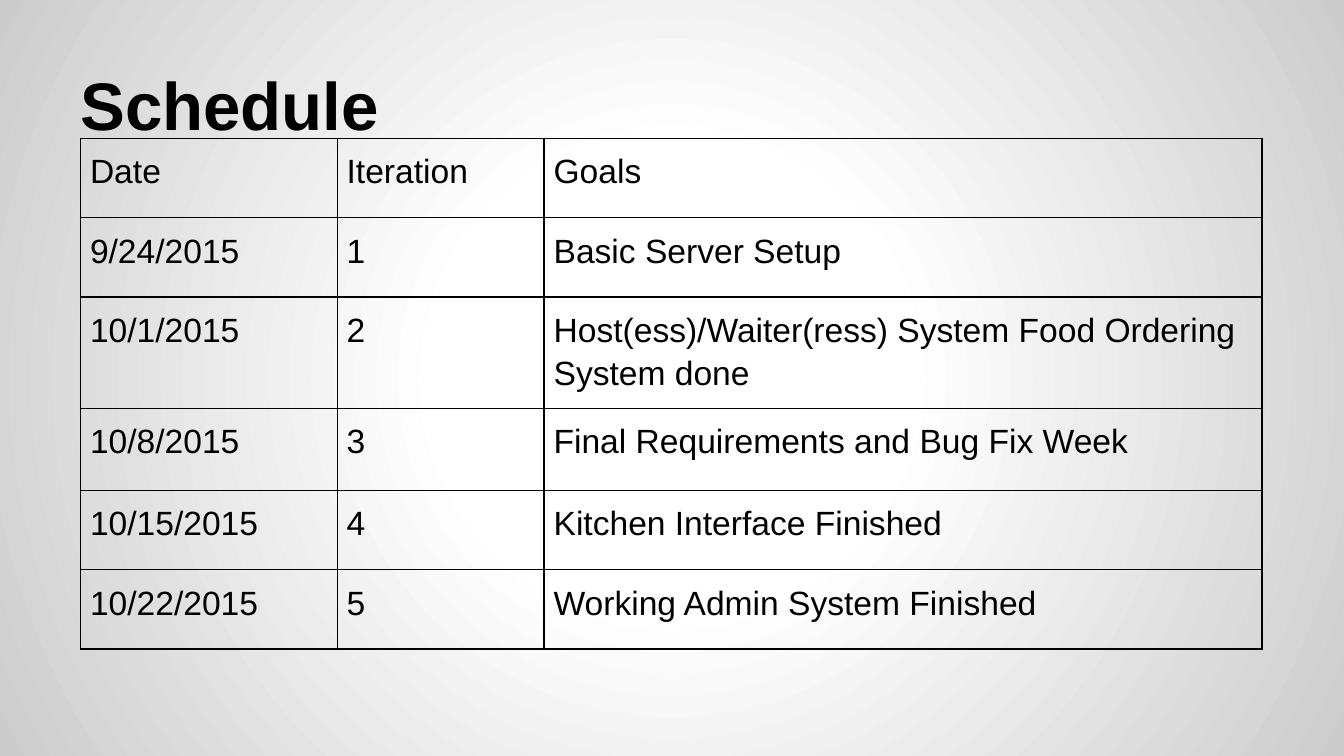
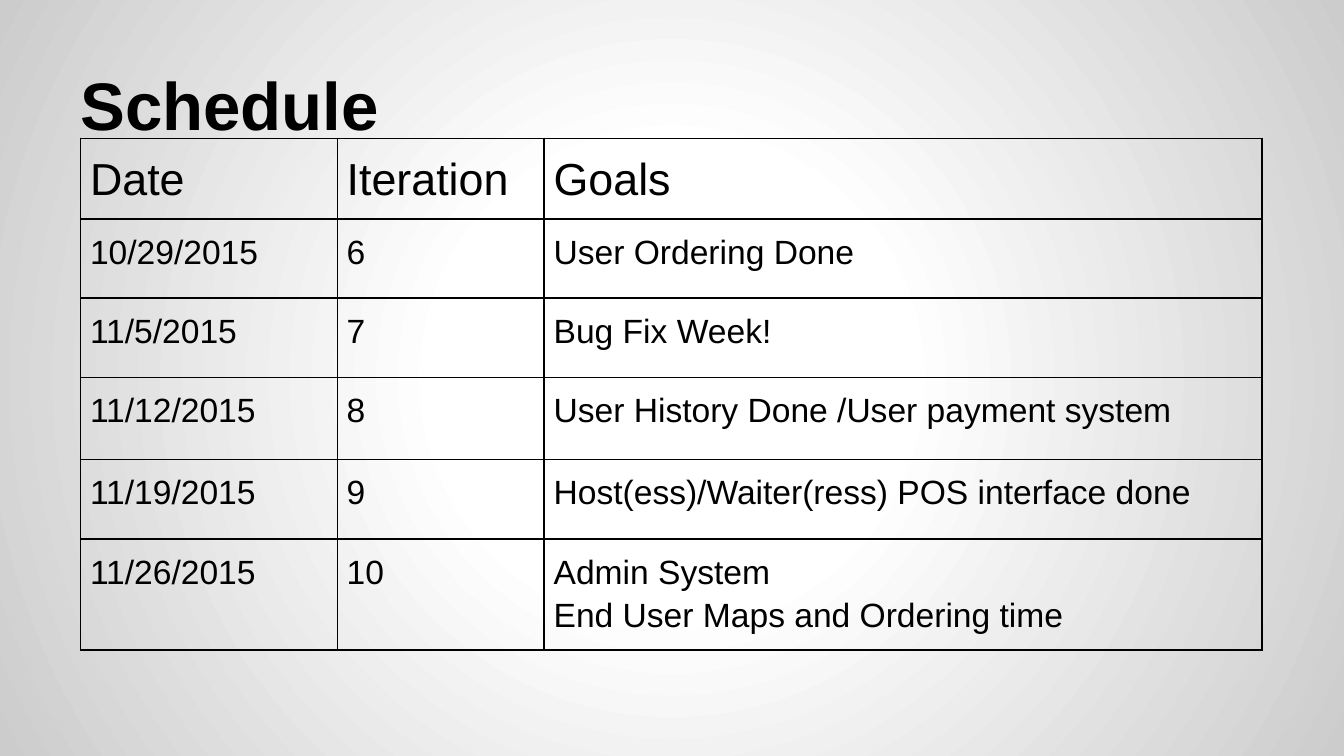
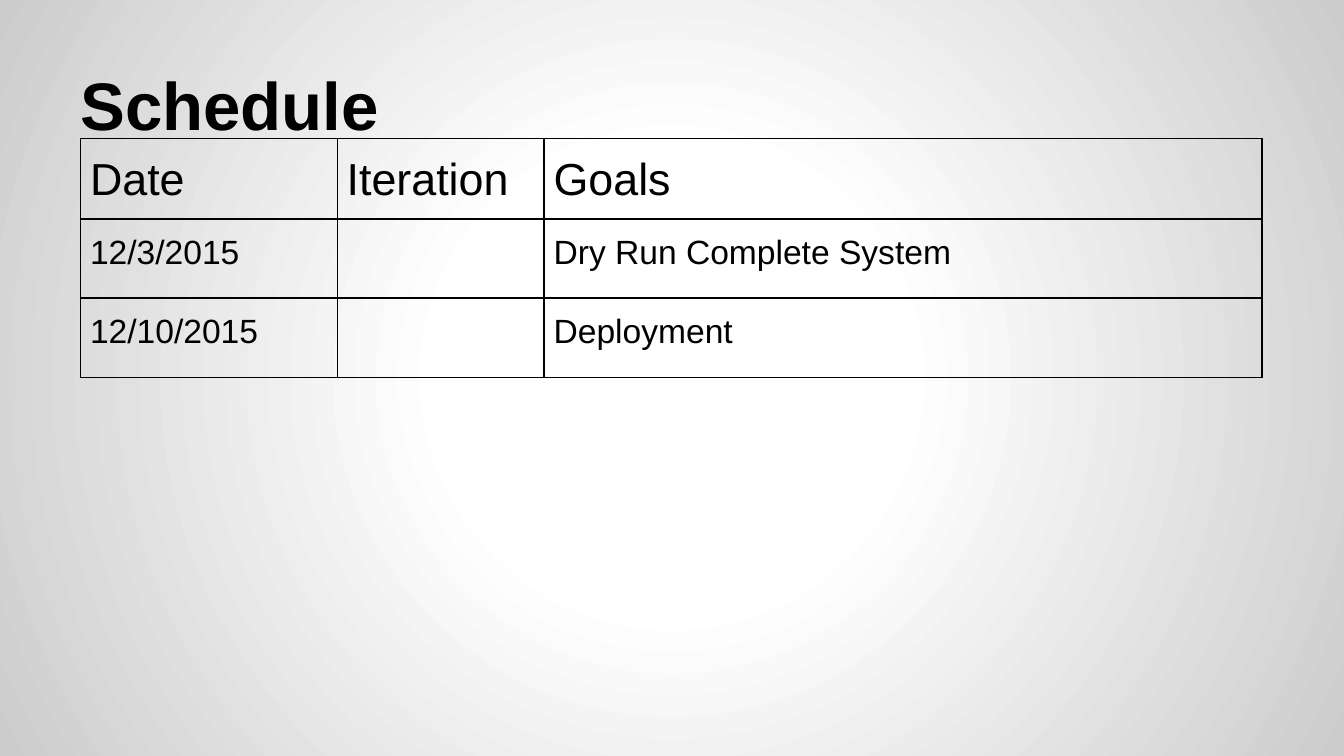
"""Build three project schedule slides, each with a title and a bordered table."""
from lxml.etree import SubElement
from pptx import Presentation
from pptx.dml.color import RGBColor as Rgb
from pptx.enum.text import MSO_ANCHOR as Anchor
from pptx.oxml import parse_xml
from pptx.oxml.ns import nsdecls, qn
from pptx.util import Inches, Pt

COLORS = {"ink": "000000", "center": "FFFFFF", "edge": "CCCCCC"}
GRADIENT = ((0, "center"), (30, "center"), (100, "edge"))
FONT = "Arial"
GRID = Inches(0.1)
SLIDE_COLUMNS, SLIDE_ROWS = 100, 56.25
TABLE_LEFT, TABLE_TOP = 6, 10.3
TABLE_COLUMNS = (19.1, 15.4, 53.4)
ROW_HEIGHT, TALL_ROW_HEIGHT = 5.9, 6.1
TALL_ROW = 3
HEADER = ("Date", "Iteration", "Goals")
PLAIN_TABLE_STYLE = "{2D5ABB26-0587-4C30-8999-92F81FD0307C}"

SCHEDULES = (
    (18, (
        ("9/24/2015", "1", "Basic Server Setup"),
        ("10/1/2015", "2", "Host(ess)/Waiter(ress) System Food Ordering System done"),
        ("10/8/2015", "3", "Final Requirements and Bug Fix Week"),
        ("10/15/2015", "4", "Kitchen Interface Finished"),
        ("10/22/2015", "5", "Working Admin System Finished"),
    )),
    (24, (
        ("10/29/2015", "6", "User Ordering Done"),
        ("11/5/2015", "7", "Bug Fix Week!"),
        ("11/12/2015", "8", "User History Done /User payment system"),
        ("11/19/2015", "9", "Host(ess)/Waiter(ress) POS interface done"),
        ("11/26/2015", "10", "Admin System\nEnd User Maps and Ordering time"),
    )),
    (24, (
        ("12/3/2015", "", "Dry Run Complete System"),
        ("12/10/2015", "", "Deployment"),
    )),
)


def grid(*lengths):
    return [round(length * GRID) for length in lengths]


class Deck:
    def __init__(self):
        self.presentation = Presentation()
        self.presentation.slide_width, self.presentation.slide_height = grid(
            SLIDE_COLUMNS, SLIDE_ROWS)
        self.slide = None

    def add_slide(self):
        self.slide = self.presentation.slides.add_slide(self.presentation.slide_layouts[6])
        stops = "".join(
            f'<a:gs pos="{percent * 1000}"><a:srgbClr val="{COLORS[name]}"/></a:gs>'
            for percent, name in GRADIENT)
        background = parse_xml(
            f'<p:bg {nsdecls("p", "a")}><p:bgPr><a:gradFill><a:gsLst>{stops}</a:gsLst>'
            '<a:path path="circle"><a:fillToRect l="50000" t="50000" r="50000" b="50000"/>'
            '</a:path></a:gradFill><a:effectLst/></p:bgPr></p:bg>')
        self.slide.element.cSld.insert(0, background)

    def add_text(self, frame, text, size, bold=False, spacing=None):
        for index, line in enumerate(text.split("\n")):
            paragraph = frame.add_paragraph() if index else frame.paragraphs[0]
            paragraph.line_spacing = spacing
            run = paragraph.add_run()
            run.text = line
            run.font.name, run.font.size, run.font.bold = FONT, Pt(size), bold
            run.font.color.rgb = Rgb.from_string(COLORS["ink"])

    def pad(self, holder, inset):
        (holder.margin_left, holder.margin_top,
         holder.margin_right, holder.margin_bottom) = grid(*[inset] * 4)

    def title(self, text):
        frame = self.slide.shapes.add_textbox(*grid(5, 2.3, 90, 9.4)).text_frame
        frame.word_wrap = True
        frame.vertical_anchor = Anchor.BOTTOM
        self.pad(frame, 1)
        self.add_text(frame, text, 36, bold=True)

    def style_cell(self, cell):
        self.pad(cell, 0.7)
        properties = cell._tc.get_or_add_tcPr()
        for side in ("lnL", "lnR", "lnT", "lnB"):
            line = SubElement(properties, qn(f"a:{side}"), w=str(Pt(1)))
            fill = SubElement(line, qn("a:solidFill"))
            SubElement(fill, qn("a:srgbClr"), val=COLORS["ink"])
        cell.fill.background()

    def table(self, rows, header_size):
        heights = [TALL_ROW_HEIGHT if index == TALL_ROW else ROW_HEIGHT
                   for index in range(len(rows))]
        table = self.slide.shapes.add_table(
            len(rows), len(TABLE_COLUMNS),
            *grid(TABLE_LEFT, TABLE_TOP, sum(TABLE_COLUMNS), sum(heights))).table
        table.first_row = table.horz_banding = False
        table._tbl.tblPr.find(qn("a:tableStyleId")).text = PLAIN_TABLE_STYLE
        for column, width in zip(table.columns, grid(*TABLE_COLUMNS)):
            column.width = width
        for row, height in zip(table.rows, grid(*heights)):
            row.height = height
        for row_index, values in enumerate(rows):
            size = 18 if row_index else header_size
            for column_index, value in enumerate(values):
                cell = table.cell(row_index, column_index)
                self.style_cell(cell)
                if value:
                    self.add_text(cell.text_frame, value, size, spacing=1.15)


def main():
    deck = Deck()
    for header_size, iterations in SCHEDULES:
        deck.add_slide()
        deck.title("Schedule")
        deck.table((HEADER, *iterations), header_size)
    deck.presentation.save("out.pptx")


if __name__ == "__main__":
    main()
